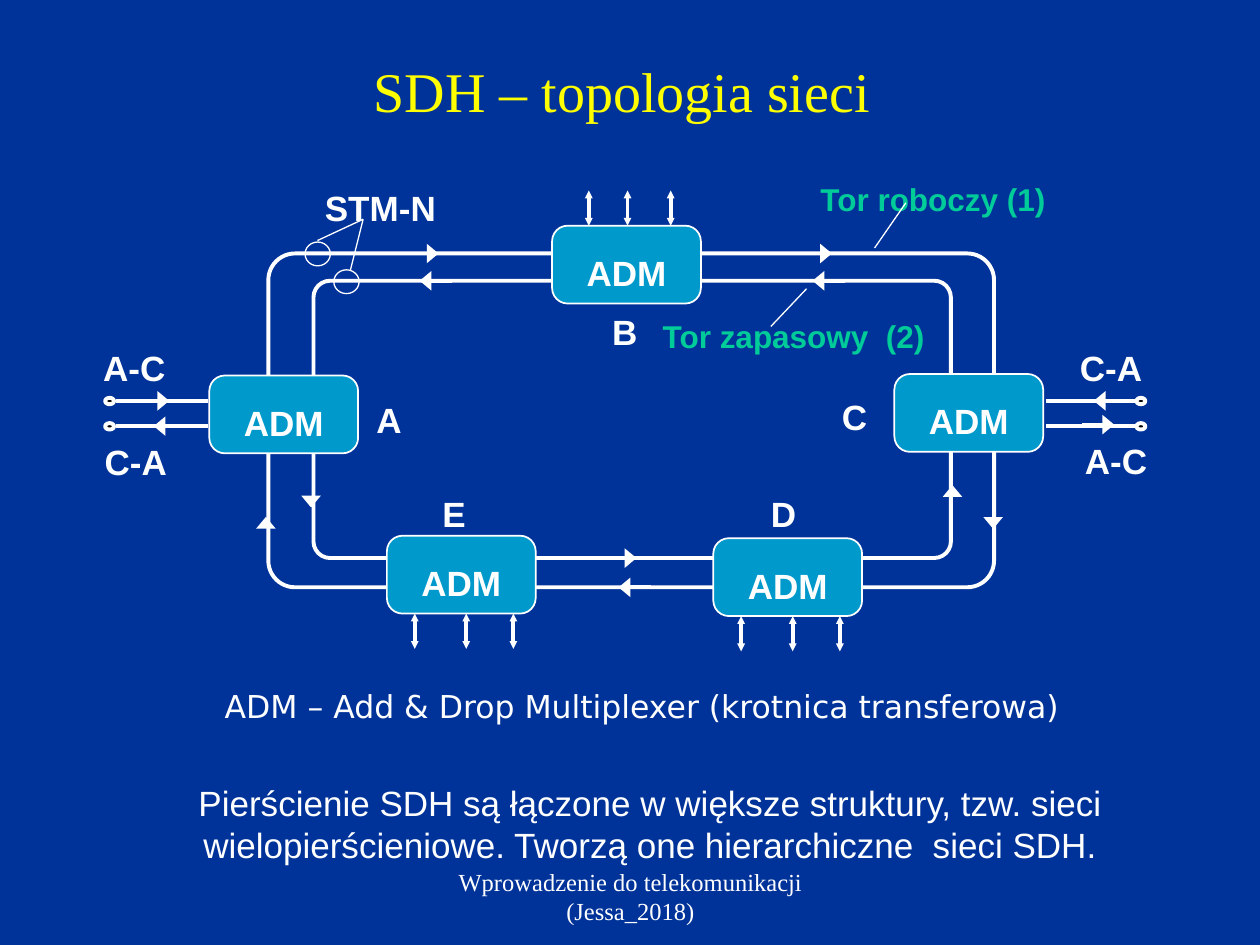
from lxml import etree
from pptx import Presentation, util as u
from pptx.dml.color import RGBColor
from pptx.enum import shapes, text
from pptx.oxml import ns

NAVY = RGBColor(0x00, 0x33, 0x99)
BLUE = RGBColor(0x00, 0x99, 0xCC)
GREEN = RGBColor(0x00, 0xCC, 0x99)
YELLOW = RGBColor(0xFF, 0xFF, 0x00)
WHITE = RGBColor(0xFF, 0xFF, 0xFF)
BLACK = RGBColor(0x00, 0x00, 0x00)

NODE_WIDTH, NODE_HEIGHT = 3, 1.57
PORT_LENGTH = 0.71


def write(frame, content, size=20, font="Arial", color=WHITE, bold=False,
          align=text.PP_ALIGN.LEFT, anchor=text.MSO_ANCHOR.TOP, top=0):
    frame.word_wrap = True
    frame.margin_left = frame.margin_right = frame.margin_bottom = 0
    frame.margin_top = u.Cm(top)
    frame.vertical_anchor = anchor
    para = frame.paragraphs[0]
    para.alignment = align
    span = para.add_run()
    span.text = content
    span.font.name = font
    span.font.size = u.Pt(size)
    span.font.bold = bold
    span.font.color.rgb = color


class RingPage:
    thick = 2.25
    thin = 0.75
    ink = WHITE

    def __init__(self, deck):
        self.page = deck.slides.add_slide(deck.slide_layouts[6])
        self.page.background.fill.solid()
        self.page.background.fill.fore_color.rgb = NAVY

    def label(self, content, left, top, width, height, **style):
        box = self.page.shapes.add_textbox(*map(u.Cm, (left, top, width, height)))
        write(box.text_frame, content, **style)

    def outline(self, kind, left, top, width, height, weight, fill=None, corner=None):
        shape = self.page.shapes.add_shape(kind, *map(u.Cm, (left, top, width, height)))
        shape.shadow.inherit = False
        if corner is not None:
            shape.adjustments[0] = corner
        if fill is None:
            shape.fill.background()
        else:
            shape.fill.solid()
            shape.fill.fore_color.rgb = fill
        shape.line.color.rgb = self.ink
        shape.line.width = u.Pt(weight)
        return shape

    def ring(self, left, top, width, height, corner):
        self.outline(shapes.MSO_SHAPE.ROUNDED_RECTANGLE, left, top, width, height,
                     self.thick, NAVY, corner)

    def circle(self, left, top, width, height, weight, fill=None):
        self.outline(shapes.MSO_SHAPE.OVAL, left, top, width, height, weight, fill)

    def node(self, left, top):
        box = self.outline(shapes.MSO_SHAPE.ROUNDED_RECTANGLE, left, top,
                           NODE_WIDTH, NODE_HEIGHT, 1, BLUE, 0.2)
        write(box.text_frame, "ADM", bold=True, align=text.PP_ALIGN.CENTER,
              anchor=text.MSO_ANCHOR.MIDDLE, top=0.32)

    def line(self, x1, y1, x2, y2, weight, ends=(), head_width="lg", head_length="med"):
        link = self.page.shapes.add_connector(
            shapes.MSO_CONNECTOR.STRAIGHT, *map(u.Cm, (x1, y1, x2, y2)))
        link.line.color.rgb = self.ink
        link.line.width = u.Pt(weight)
        stroke = link.line._get_or_add_ln()
        for end in ends:
            etree.SubElement(stroke, ns.qn(f"a:{end}"), type="triangle",
                             w=head_width, len=head_length)
        etree.SubElement(link._element.spPr, ns.qn("a:effectLst"))

    def flow(self, x, y, dx, dy):
        self.line(x, y, x + dx, y + dy, self.thick, ("tailEnd",))

    def ports(self, left, top, offsets):
        for offset in offsets:
            x = left + offset
            self.line(x, top, x, top + PORT_LENGTH, self.thick,
                      ("headEnd", "tailEnd"), "sm", "sm")


def main():
    deck = Presentation()
    deck.slide_width, deck.slide_height = u.Cm(25.4), u.Cm(19.05)
    ring_page = RingPage(deck)
    center = text.PP_ALIGN.CENTER

    ring_page.label("SDH – topologia sieci", 0, 0.13, 25.08, 3.38, size=32,
                    font="Times New Roman", color=YELLOW, align=center,
                    anchor=text.MSO_ANCHOR.MIDDLE)
    ring_page.label("ADM – Add & Drop Multiplexer (krotnica transferowa)",
                    3.28, 13.84, 19.33, 1.1, size=18, font="DejaVu Sans", align=center)

    ring_page.ring(5.41, 5.11, 14.63, 6.73, 0.08)
    ring_page.ring(6.32, 5.66, 12.85, 5.59, 0.06)

    nodes = {"A": (4.22, 7.57), "B": (11.13, 4.55), "C": (18.03, 7.54),
             "D": (14.38, 10.85), "E": (7.8, 10.8)}
    for left, top in nodes.values():
        ring_page.node(left, top)
    left, top = nodes["B"]
    ring_page.ports(left, top - PORT_LENGTH, (0.74, 1.52, 2.39))
    for name in "DE":
        left, top = nodes[name]
        ring_page.ports(left, top + NODE_HEIGHT, (0.56, 1.6, 2.55))

    flows = {
        (0.64, 0): [(2.77, 8.08), (21.82, 8.56), (12.19, 11.25), (8.2, 5.11), (16.13, 5.11)],
        (-0.66, 0): [(3.76, 8.59), (22.71, 8.08), (13.13, 11.84), (9.12, 5.66), (17.04, 5.66)],
        (0, 0.2): [(20.02, 10.46), (6.27, 10.03)],
        (0, -0.2): [(19.2, 9.98), (5.36, 10.62)],
    }
    for (dx, dy), starts in flows.items():
        for x, y in starts:
            ring_page.flow(x, y, dx, dy)

    for y in (8.08, 8.59):
        for start, end, terminal in ((2.33, 4.2, 2.12), (21.08, 22.94, 22.91)):
            ring_page.line(start, y, end, y, ring_page.thick)
            ring_page.circle(terminal, y - 0.06, 0.18, 0.13, ring_page.thick, BLACK)

    names = [("A-C", 2.08, 6.99, 2), ("C-A", 2.11, 8.89, 2),
             ("C-A", 21.77, 6.99, 2), ("A-C", 21.87, 8.86, 2),
             ("A", 7.59, 8.03, 0.76), ("B", 12.34, 6.25, 1.09),
             ("C", 16.97, 7.98, 0.74), ("D", 15.54, 9.93, 0.99),
             ("E", 8.92, 9.93, 1.27), ("STM-N", 6.55, 3.76, 2.6)]
    for content, left, top, width in names:
        ring_page.label(content, left, top, width, 0.84, bold=True)
    ring_page.label("Tor roboczy (1)", 16.54, 3.63, 5.84, 0.84, size=18,
                    color=GREEN, bold=True)
    ring_page.label("Tor zapasowy  (2)", 12.9, 6.4, 6.2, 1.19, size=18,
                    color=GREEN, bold=True, align=center)

    for pointer in ((18.26, 4.09, 17.63, 5), (15.54, 6.58, 16.26, 5.82),
                    (6.4, 4.85, 7.32, 4.42), (7.06, 5.46, 7.32, 4.42)):
        ring_page.line(*pointer, ring_page.thin)
    for left, top in ((6.15, 4.88), (6.73, 5.44)):
        ring_page.circle(left, top, 0.51, 0.48, ring_page.thin)

    ring_page.label("Pierścienie SDH są łączone w większe struktury, tzw. sieci "
                    "wielopierścieniowe. Tworzą one hierarchiczne  sieci SDH.",
                    1.96, 15.75, 22.3, 1.7, align=center)
    ring_page.label("Wprowadzenie do telekomunikacji (Jessa_2018)",
                    8.94, 17.48, 7.54, 1.2, size=14, font="Times New Roman", align=center)

    deck.save("out.pptx")


if __name__ == "__main__":
    main()
